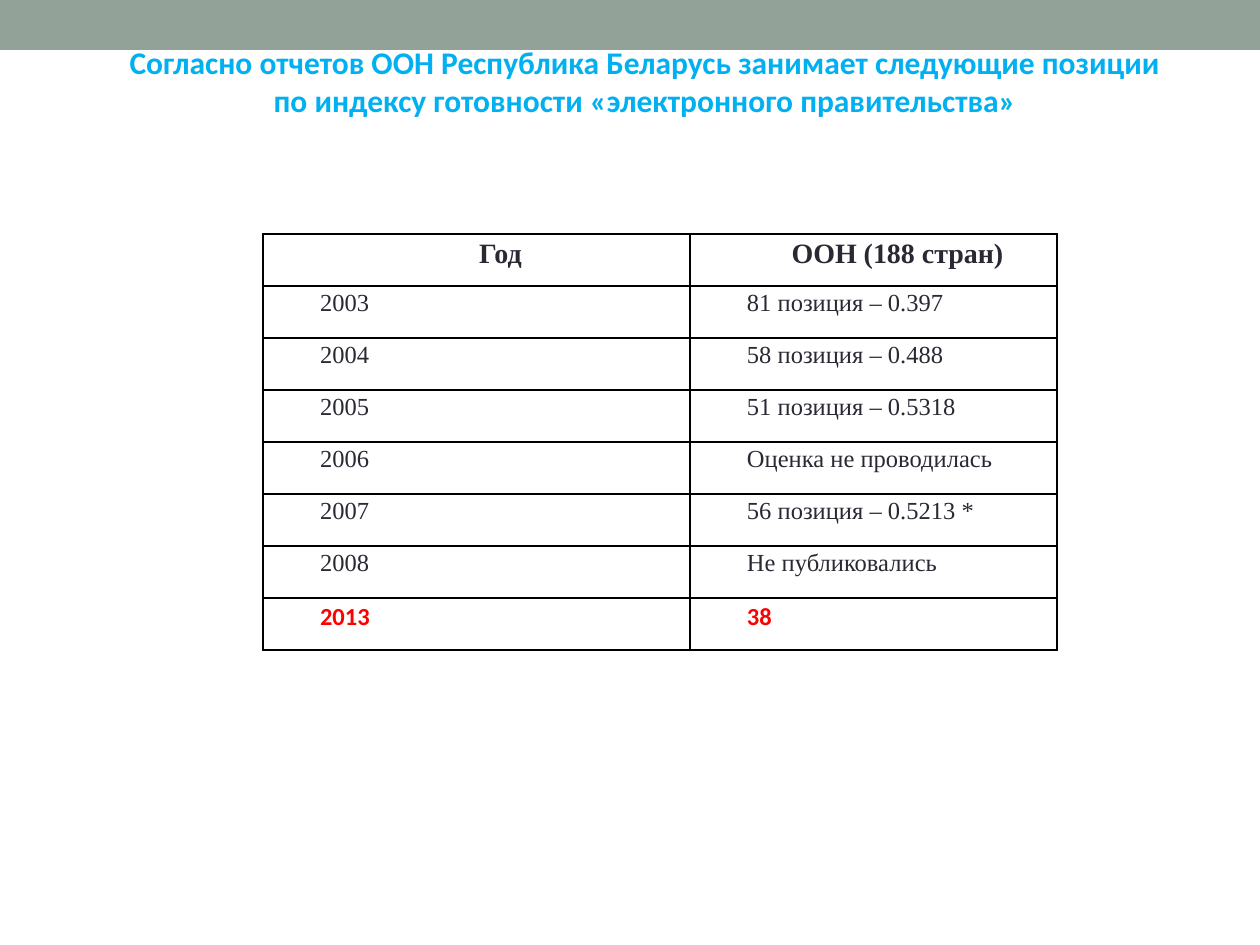
from dataclasses import dataclass

from lxml.etree import SubElement
from pptx import Presentation
from pptx.dml.color import RGBColor
from pptx.enum.shapes import MSO_SHAPE as Shape
from pptx.enum.text import MSO_ANCHOR as Anchor, PP_ALIGN as Align
from pptx.oxml.ns import qn
from pptx.util import Emu, Pt

EMU_PER_PX = 914400 / 126


def px(length):
    return Emu(round(length * EMU_PER_PX))


@dataclass(frozen=True)
class TextStyle:
    font: str
    size: int
    color: str
    bold: bool = False
    align: Align = Align.JUSTIFY


@dataclass(frozen=True)
class Theme:
    band: str = "93A299"
    border: str = "000000"
    border_width: int = 1
    indent: int = 48
    cell_inset: int = 9
    title: TextStyle = TextStyle("Calibri", 18, "00B0F0", True, Align.CENTER)
    header: TextStyle = TextStyle("Times New Roman", 16, "292934", True, Align.CENTER)
    body: TextStyle = TextStyle("Times New Roman", 14, "292934")
    accent: TextStyle = TextStyle("Calibri", 14, "FF0000", True)


class SlideBuilder:
    def __init__(self, slide, theme):
        self.slide = slide
        self.theme = theme

    def band(self, left, top, width, height):
        band = self.slide.shapes.add_shape(
            Shape.RECTANGLE, px(left), px(top), px(width), px(height))
        band.shadow.inherit = False
        band.fill.solid()
        band.fill.fore_color.rgb = RGBColor.from_string(self.theme.band)
        band.line.fill.background()

    def styled_run(self, paragraph, text, style):
        paragraph.alignment = style.align
        paragraph._p.get_or_add_pPr().set("indent", str(px(self.theme.indent)))
        run = paragraph.add_run()
        run.text = text
        run.font.name = style.font
        run.font.size = Pt(style.size)
        run.font.bold = style.bold
        run.font.color.rgb = RGBColor.from_string(style.color)

    def title(self, left, top, width, height, lines):
        frame = self.slide.shapes.add_textbox(
            px(left), px(top), px(width), px(height)).text_frame
        frame.word_wrap = True
        frame.vertical_anchor = Anchor.TOP
        for index, line in enumerate(lines):
            paragraph = frame.add_paragraph() if index else frame.paragraphs[0]
            self.styled_run(paragraph, line, self.theme.title)

    def cell_borders(self, cell):
        properties = cell._tc.get_or_add_tcPr()
        for side in ("a:lnL", "a:lnR", "a:lnT", "a:lnB"):
            line = SubElement(properties, qn(side), w=str(Pt(self.theme.border_width)))
            fill = SubElement(line, qn("a:solidFill"))
            SubElement(fill, qn("a:srgbClr"), val=self.theme.border)

    def table(self, left, top, column_widths, row_height, styled_rows):
        table = self.slide.shapes.add_table(
            len(styled_rows), len(column_widths), px(left), px(top),
            px(sum(column_widths)), px(row_height * len(styled_rows))).table
        table.first_row = table.horz_banding = False
        for column, width in zip(table.columns, column_widths):
            column.width = px(width)
        for row, (style, texts) in zip(table.rows, styled_rows):
            row.height = px(row_height)
            for cell, text in zip(row.cells, texts):
                cell.margin_left = cell.margin_right = px(self.theme.cell_inset)
                cell.margin_top = cell.margin_bottom = 0
                # Borders come before the fill in the cell properties
                self.cell_borders(cell)
                cell.fill.background()
                paragraph = cell.text_frame.paragraphs[0]
                paragraph.line_spacing = 1.15
                paragraph.space_after = Pt(10)
                self.styled_run(paragraph, text, style)


def main():
    deck = Presentation()
    deck.slide_width, deck.slide_height = px(1260), px(945)
    theme = Theme()
    builder = SlideBuilder(deck.slides.add_slide(deck.slide_layouts[6]), theme)

    # Top band
    builder.band(0, 0, 1260, 50)

    # Positions by year
    positions = [
        ("2003", "81 позиция – 0.397"),
        ("2004", "58 позиция – 0.488"),
        ("2005", "51 позиция – 0.5318"),
        ("2006", "Оценка не проводилась"),
        ("2007", "56 позиция – 0.5213 *"),
        ("2008", "Не публиковались"),
    ]
    builder.table(263, 234, (427, 367), 52, [
        (theme.header, ("Год", "ООН (188 стран)")),
        *((theme.body, position) for position in positions),
        (theme.accent, ("2013", "38")),
    ])

    # Title
    builder.title(15, 37, 1212, 127, (
        "Согласно отчетов ООН Республика Беларусь занимает следующие позиции",
        "по индексу готовности «электронного правительства»",
    ))

    deck.save("out.pptx")


if __name__ == "__main__":
    main()
